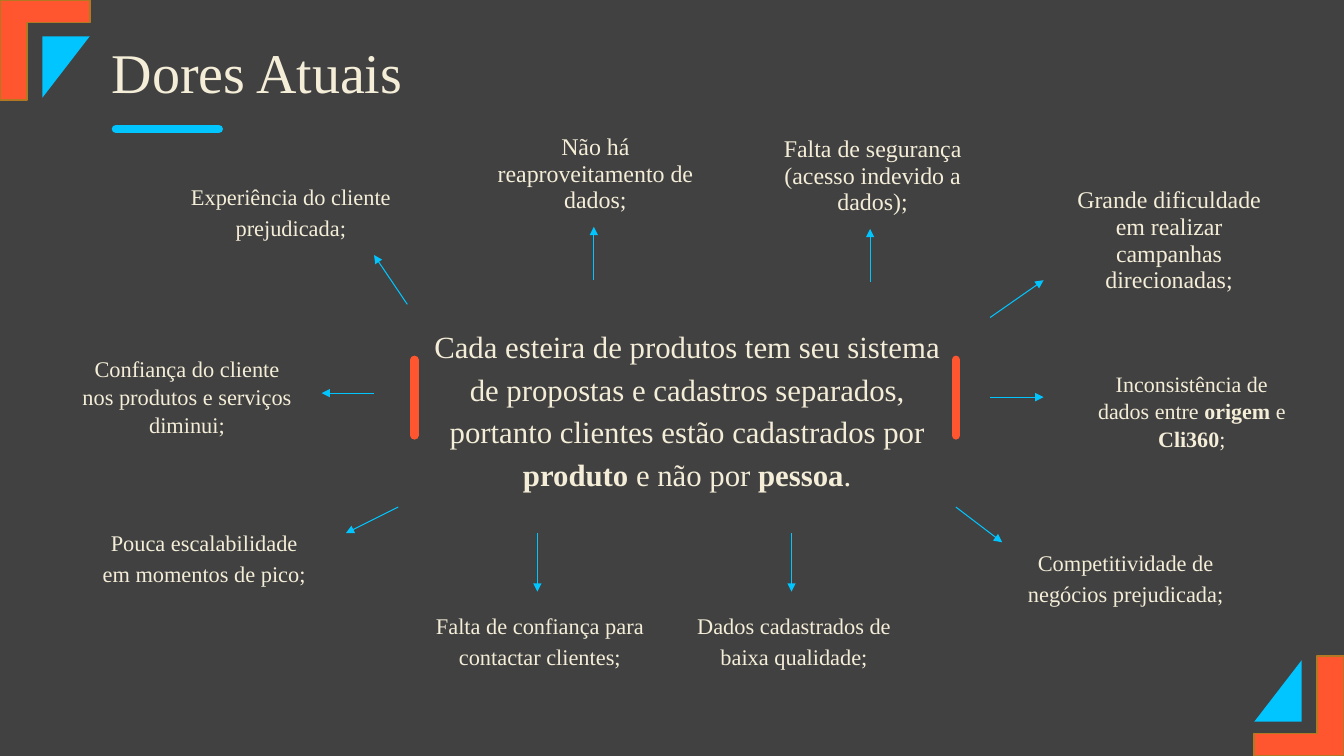
from lxml.etree import SubElement
from pptx import Presentation
from pptx.dml.color import RGBColor
from pptx.enum.shapes import MSO_CONNECTOR as Connector, MSO_SHAPE as Shape
from pptx.enum.text import MSO_ANCHOR as Anchor, PP_ALIGN as Align
from pptx.oxml import parse_xml
from pptx.oxml.ns import nsdecls, qn
from pptx.util import Pt

PX = 9144  # EMU per px, 100 px to the inch
FONT = "Times New Roman"
CREAM, BLUE, ORANGE, GOLD, GREY = "F4EDD8", "00C5FF", "FF5630", "B27822", "414141"

OUTLINE = (
    f'<a:ln {nsdecls("a")} w="9525"><a:solidFill><a:srgbClr val="404040">'
    '<a:alpha val="10000"/></a:srgbClr></a:solidFill></a:ln>'
)
TEXT_SHADOW = (
    f'<a:effectLst {nsdecls("a")}><a:outerShdw blurRad="38100" dist="25400" dir="2700000">'
    '<a:srgbClr val="000000"><a:alpha val="50000"/></a:srgbClr></a:outerShdw></a:effectLst>'
)

# text, box (left, top, width), size, line spacing, arrow (from x, y, to x, y)
PAINS = [
    ("Não há reaproveitamento de dados;", (470, 128, 237), 17.1, 0.93, (589, 278, 589, 225)),
    ("Falta de segurança (acesso indevido a dados);", (745, 130, 237), 17.1, 0.93,
     (863, 280, 863, 227)),
    ("Grande dificuldade em realizar campanhas direcionadas;", (1039, 181, 237), 17.1, 0.93,
     (982, 315, 1035, 278)),
    ("Inconsistência de dados entre *origem* e *Cli360*;", (1069, 361, 222), 15.7, 1.05,
     (982, 394, 1035, 394)),
    ("Competitividade de negócios prejudicada;", (996, 536, 237), 16, 1.15,
     (948, 503, 994, 538)),
    ("Dados cadastrados de baixa qualidade;", (667, 598, 237), 16, 1.15, (785, 529, 785, 587)),
    ("Falta de confiança para contactar clientes;", (415, 598, 237), 16, 1.15,
     (533, 529, 533, 587)),
    ("Pouca escalabilidade em momentos de pico;", (82, 516, 237), 16, 1.15,
     (395, 503, 343, 529)),
    ("Confiança do cliente nos produtos e serviços diminui;", (65, 346, 237), 16, 1.05,
     (371, 390, 319, 390)),
    ("Experiência do cliente prejudicada;", (168, 173, 237), 16, 1.15, (404, 302, 371, 253)),
]


def px(*lengths):
    return [length * PX for length in lengths]


def color(hex_code):
    return RGBColor.from_string(hex_code)


def add_text(slide, text, box, *, size, spacing, align=Align.CENTER, anchor=Anchor.TOP, indent=4):
    """Add a text box; parts between asterisks are bold."""
    frame = slide.shapes.add_textbox(*px(*box)).text_frame
    frame.word_wrap = True
    frame.vertical_anchor = anchor
    paragraph = frame.paragraphs[0]
    paragraph.alignment = align
    paragraph.line_spacing = spacing
    properties = paragraph._p.get_or_add_pPr()
    properties.set("marL", str(indent * PX))
    properties.set("indent", "0")
    for number, part in enumerate(text.split("*")):
        run = paragraph.add_run()
        run.text = part
        run.font.name = FONT
        run.font.size = Pt(size)
        run.font.bold = number % 2 == 1
        run.font.color.rgb = color(CREAM)
        run_properties = run._r.get_or_add_rPr()
        run_properties.insert(0, parse_xml(OUTLINE))
        run_properties.insert(2, parse_xml(TEXT_SHADOW))


def add_ornament(slide, kind, box, rotation, fill, *, border=None, adjustments=()):
    ornament = slide.shapes.add_shape(kind, *px(*box))
    ornament.shadow.inherit = False
    ornament.rotation = rotation
    for index, value in enumerate(adjustments):
        ornament.adjustments[index] = value
    ornament.fill.solid()
    ornament.fill.fore_color.rgb = color(fill)
    if border:
        ornament.line.color.rgb = color(border)
        ornament.line.width = Pt(1.25)
    else:
        ornament.line.fill.background()


def add_line(slide, ends, stroke, width, *, arrow=False):
    """Add a straight line, either with an arrowhead or with round caps."""
    line = slide.shapes.add_connector(Connector.STRAIGHT, *px(*ends))
    line.line.color.rgb = color(stroke)
    line.line.width = Pt(width)
    outline = line.line._get_or_add_ln()
    if arrow:
        SubElement(outline, qn("a:tailEnd"), type="triangle")
    else:
        outline.set("cap", "rnd")
    SubElement(line._element.spPr, qn("a:effectLst"))


def main():
    deck = Presentation()
    deck.slide_width, deck.slide_height = px(1333, 750)
    slide = deck.slides.add_slide(deck.slide_layouts[6])
    slide.background.fill.solid()
    slide.background.fill.fore_color.rgb = color(GREY)

    add_text(slide, "Dores Atuais", (101, 6, 1132, 138), size=40, spacing=0.9,
             align=Align.LEFT, anchor=Anchor.MIDDLE, indent=0)
    add_text(slide, "Cada esteira de produtos tem seu sistema de propostas e cadastros separados, "
             "portanto clientes estão cadastrados por *produto* e não por *pessoa*.",
             (411, 315, 537, 188), size=22, spacing=1.15)

    for rotation, corner, triangle in [
        (90, (-5, 5, 99, 89), (35, 43, 61, 47)),
        (270, (1239, 656, 99, 89), (1237, 662, 61, 47)),
    ]:
        add_ornament(slide, Shape.CORNER, corner, rotation, ORANGE,
                     border=GOLD, adjustments=(0.3, 0.25))
        add_ornament(slide, Shape.RIGHT_TRIANGLE, triangle, rotation, BLUE)

    add_line(slide, (115, 128, 217, 128), BLUE, 6)
    for bracket_x in (411, 948):
        add_line(slide, (bracket_x, 357, bracket_x, 432), ORANGE, 6)

    for pain, box, size, spacing, arrow in PAINS:
        add_text(slide, pain, (*box, 92), size=size, spacing=spacing)
        add_line(slide, arrow, BLUE, 0.75, arrow=True)

    deck.save("out.pptx")


if __name__ == "__main__":
    main()
